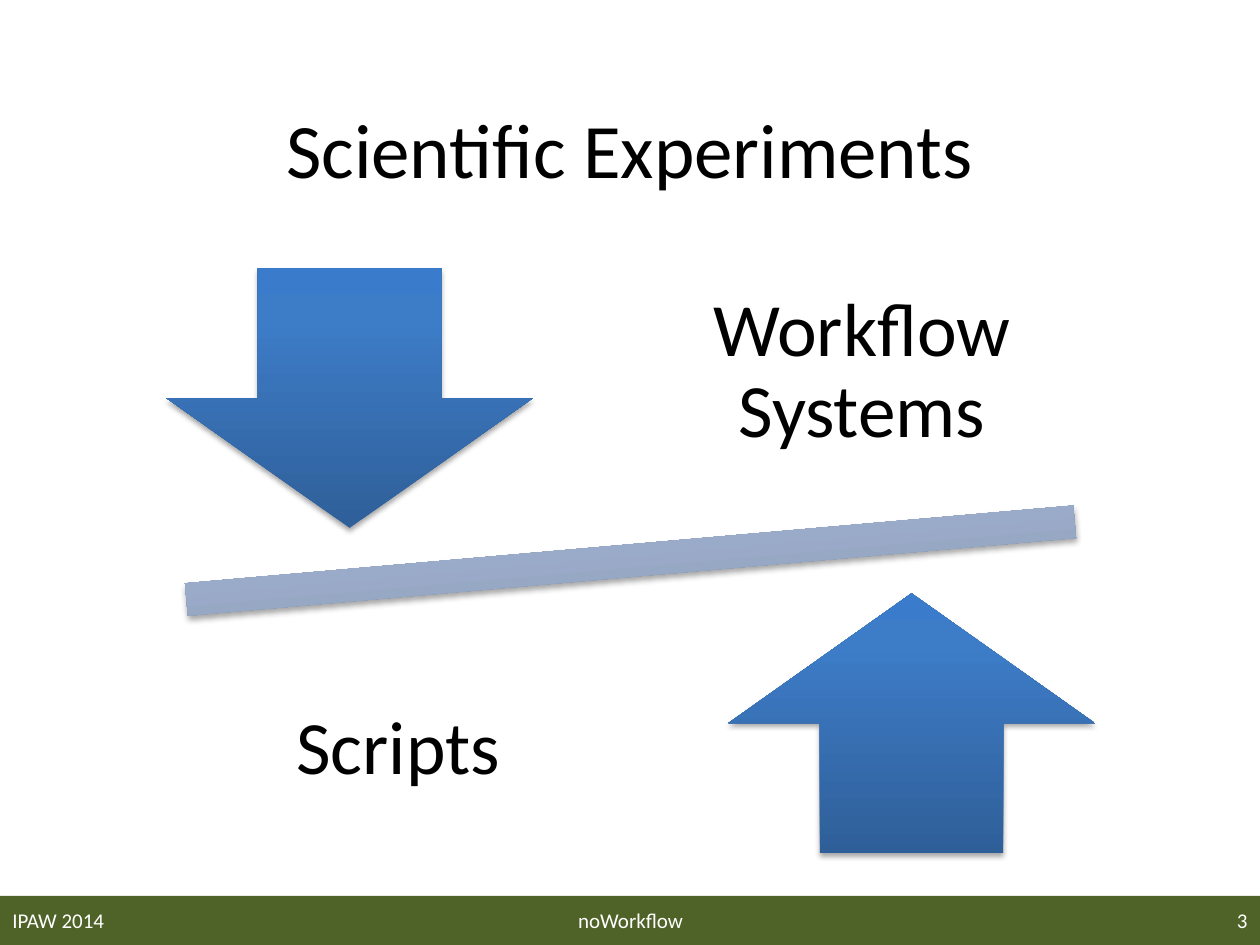
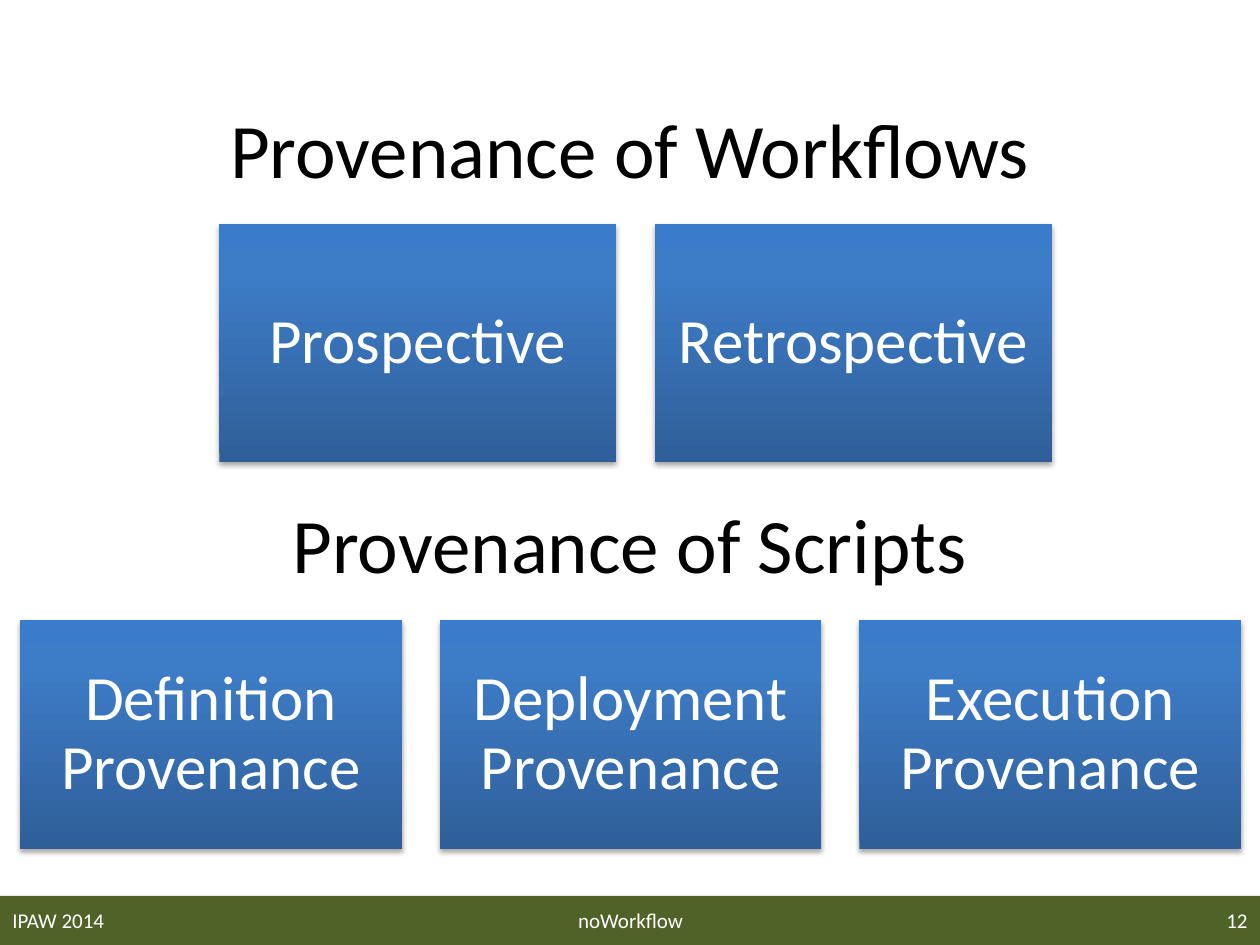
from copy import deepcopy

from lxml import etree
from pptx import Presentation
from pptx.dml.color import RGBColor
from pptx.enum import shapes, text
from pptx.oxml import ns
from pptx.util import Inches, Pt

# Shared style
FONT = "Calibri"
BLACK = RGBColor(0x00, 0x00, 0x00)
WHITE = RGBColor(0xFF, 0xFF, 0xFF)
OLIVE = RGBColor(0x4F, 0x62, 0x28)
BLUE = [(0, RGBColor(0x2F, 0x5F, 0x99)), (0.8, RGBColor(0x3D, 0x7C, 0xC7)),
        (1, RGBColor(0x3A, 0x7C, 0xCB))]
PALE_BLUE = [(0, RGBColor(0x81, 0x8F, 0xA8)), (0.8, RGBColor(0xA7, 0xB9, 0xDA)),
             (1, RGBColor(0xA7, 0xBA, 0xDC))]
SHAPE = shapes.MSO_SHAPE
ALIGN = text.PP_ALIGN

# Footer: left, width, alignment of date, name and page number
FOOTER_PLACES = [(0, 2.33, ALIGN.LEFT), (3.42, 3.17, ALIGN.CENTER),
                 (7.67, 2.33, ALIGN.RIGHT)]
EVENT, TOOL = "IPAW 2014", "noWorkflow"

# Balance slide: kind, place, colours, rotation
BALANCE_SHAPES = [
    (SHAPE.MATH_MINUS, (0.19, 3.9, 9.63, 1.1), PALE_BLUE, 355),
    (SHAPE.DOWN_ARROW, (1.32, 2.13, 2.91, 2.06), BLUE, 0),
    (SHAPE.UP_ARROW, (5.78, 4.71, 2.91, 2.06), BLUE, 0),
]
BALANCE_LABELS = [("Workflow Systems", 5.29, 1.87), ("Scripts", 1.61, 4.87)]

# Provenance slide: heading, heading top, card left, top, width, height, gap, cards
PROVENANCE_ROWS = [
    ("Provenance of Workflows", 0.55, (1.74, 1.78, 3.15, 1.89, 0.31),
     ["Prospective", "Retrospective"]),
    ("Provenance of Scripts", 3.68, (0.16, 4.92, 3.03, 1.82, 0.3),
     ["Definition Provenance", "Deployment Provenance", "Execution Provenance"]),
]


def write(box, words, size, color, align=ALIGN.CENTER, inset=None, spacing=None):
    frame = box.text_frame
    frame.word_wrap = True
    frame.vertical_anchor = text.MSO_ANCHOR.MIDDLE
    if inset is not None:
        frame.margin_left = frame.margin_right = Inches(inset)
        frame.margin_top = frame.margin_bottom = Inches(inset)
    para = frame.paragraphs[0]
    para.alignment = align
    if spacing:
        para.line_spacing = spacing
    span = para.add_run()
    span.text = words
    span.font.name = FONT
    span.font.size = Pt(size)
    span.font.color.rgb = color


def add_text(page, place, words, size, color, **style):
    box = page.shapes.add_textbox(*map(Inches, place))
    write(box, words, size, color, **style)


def add_plain(page, kind, place):
    shape = page.shapes.add_shape(kind, *map(Inches, place))
    shape.shadow.inherit = False
    shape.line.fill.background()
    return shape


def add_shaded(page, kind, place, stops, rotation=0):
    """Shape with a vertical three-stop gradient and a soft shadow below."""
    shape = add_plain(page, kind, place)
    shape.rotation = rotation
    shape.fill.gradient()
    shape.fill.gradient_angle = 90
    stop_list = shape.element.spPr.find(".//" + ns.qn("a:gsLst"))
    stop_list.append(deepcopy(stop_list[0]))
    for stop, (position, color) in zip(shape.fill.gradient_stops, stops):
        stop.position = position
        stop.color.rgb = color

    effects = shape.element.spPr.find(ns.qn("a:effectLst"))
    shadow = etree.SubElement(effects, ns.qn("a:outerShdw"), blurRad=str(Pt(3.1)),
                              dist=str(Pt(1.8)), dir="5400000", rotWithShape="0")
    tint = etree.SubElement(shadow, ns.qn("a:srgbClr"), val=str(BLACK))
    etree.SubElement(tint, ns.qn("a:alpha"), val="35000")
    return shape


def add_title(page, words, top=0.55):
    add_text(page, (0.5, top, 9, 1.25), words, 44, BLACK)


def add_page(deck, number):
    """Blank page with the footer band and its three texts."""
    page = deck.slides.add_slide(deck.slide_layouts[6])
    band = add_plain(page, SHAPE.RECTANGLE, (0, 7.11, 10, 0.39))
    band.fill.solid()
    band.fill.fore_color.rgb = OLIVE
    for words, (left, width, align) in zip((EVENT, TOOL, str(number)), FOOTER_PLACES):
        add_text(page, (left, 7.1, width, 0.4), words, 12, WHITE, align=align)
    return page


def build_balance(deck):
    page = add_page(deck, 3)
    add_title(page, "Scientific Experiments")
    for kind, place, stops, rotation in BALANCE_SHAPES:
        add_shaded(page, kind, place, stops, rotation)
    for words, left, top in BALANCE_LABELS:
        add_text(page, (left, top, 3.1, 2.17), words, 43, BLACK,
                 inset=0.33, spacing=0.9)


def build_provenance(deck):
    page = add_page(deck, 12)
    for heading, heading_top, (left, top, width, height, gap), cards in PROVENANCE_ROWS:
        add_title(page, heading, heading_top)
        for index, words in enumerate(cards):
            place = (left + index * (width + gap), top, width, height)
            card = add_shaded(page, SHAPE.RECTANGLE, place, BLUE)
            write(card, words, 36, WHITE, inset=0.15, spacing=0.9)


def main():
    deck = Presentation()
    deck.slide_width, deck.slide_height = Inches(10), Inches(7.5)
    build_balance(deck)
    build_provenance(deck)
    deck.save("out.pptx")


if __name__ == "__main__":
    main()
